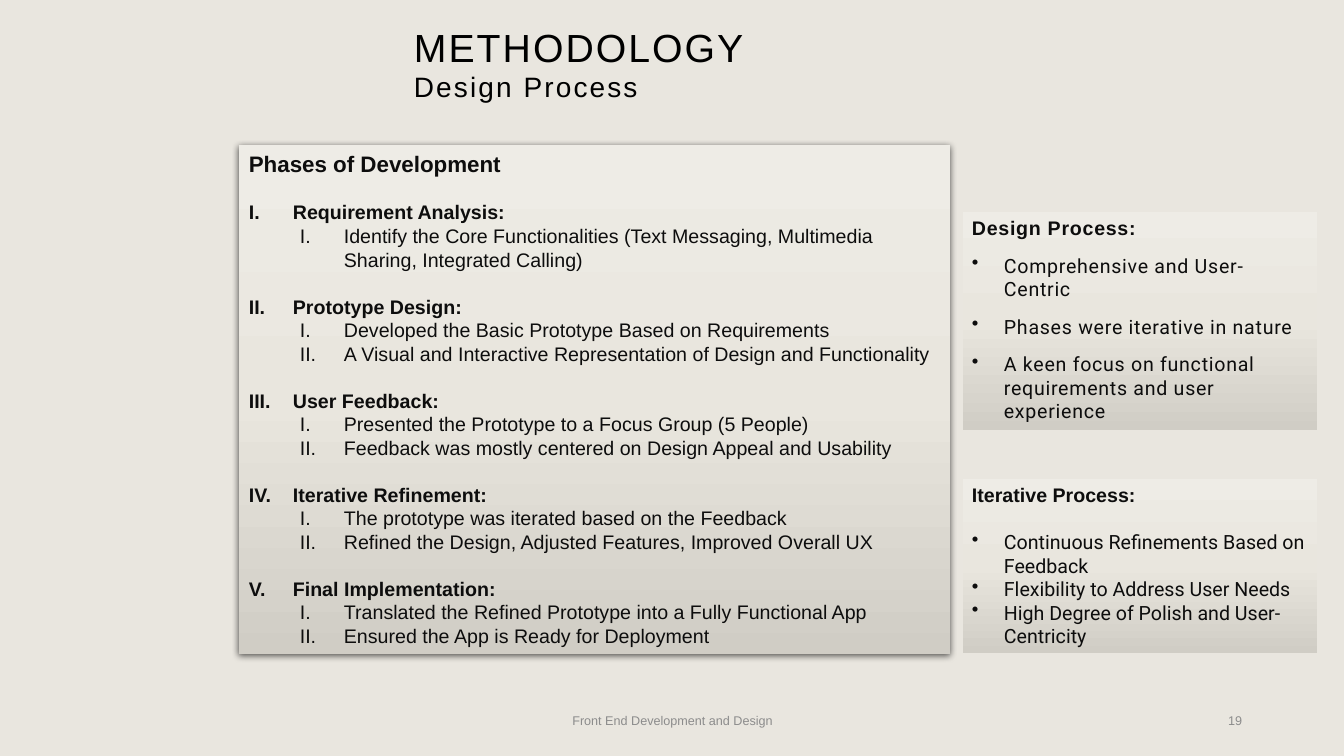
from copy import deepcopy

from pptx import Presentation
from pptx.dml.color import RGBColor
from pptx.enum.shapes import MSO_SHAPE as Preset
from pptx.enum.text import MSO_ANCHOR as Anchor, PP_ALIGN as Align
from pptx.oxml import parse_xml
from pptx.oxml.ns import nsdecls
from pptx.util import Pt

EMU_PER_PX = 914400 / 100.8
INK = "0D0D0D"
BACKDROP = "E9E6DF"
PANEL_STOPS = [(0, "EEECE6"), (0.5, "E9E6DE"), (1, "D0CDC5")]
ROMAN = f'<a:buAutoNum {nsdecls("a")} type="romanUcPeriod"/>'
DOT = f'<a:buChar {nsdecls("a")} char="•"/>'
BLANK_LINE = 16.8

PHASES = [
    ("Requirement Analysis:", [
        "Identify the Core Functionalities (Text Messaging, Multimedia Sharing, Integrated Calling)"]),
    ("Prototype Design:", [
        "Developed the Basic Prototype Based on Requirements",
        "A Visual and Interactive Representation of Design and Functionality"]),
    ("User Feedback:", [
        "Presented the Prototype to a Focus Group (5 People)",
        "Feedback was mostly centered on Design Appeal and Usability"]),
    ("Iterative Refinement:", [
        "The prototype was iterated based on the Feedback",
        "Refined the Design, Adjusted Features, Improved Overall UX"]),
    ("Final Implementation:", [
        "Translated the Refined Prototype into a Fully Functional App",
        "Ensured the App is Ready for Deployment"]),
]
DESIGN_POINTS = [
    "Comprehensive and User-Centric",
    "Phases were iterative in nature",
    "A keen focus on functional requirements and user experience",
]
ITERATIVE_POINTS = [
    "Continuous Refinements Based on Feedback",
    "Flexibility to Address User Needs",
    "High Degree of Polish and User-Centricity",
]


def px(*lengths):
    return [round(length * EMU_PER_PX) for length in lengths]


def color(value):
    return RGBColor.from_string(value)


def add_line(frame, text, size, ink=INK, font="Arial", bold=False, spacing=0,
             before=0, align=Align.LEFT, bullet=None, level=0, margin=0, hang=0):
    first = frame.paragraphs[0]
    paragraph = first if not first.runs else frame.add_paragraph()
    paragraph.alignment = align
    paragraph.level = level
    paragraph.space_before = Pt(before)
    run = paragraph.add_run()
    run.text = text
    run.font.size = Pt(size)
    run.font.name = font
    run.font.bold = bold
    run.font.color.rgb = color(ink)
    if spacing:
        run.font._element.set("spc", str(round(spacing * 100)))
    if bullet:
        properties = paragraph._p.get_or_add_pPr()
        left, indent = px(margin, -hang)
        properties.set("marL", str(left))
        properties.set("indent", str(indent))
        properties.append(parse_xml(bullet))
    return paragraph


def add_label(slide, box, text, size, anchor=Anchor.MIDDLE, **style):
    frame = slide.shapes.add_textbox(*px(*box)).text_frame
    frame.word_wrap = True
    frame.vertical_anchor = anchor
    return add_line(frame, text, size, **style)


def add_panel(slide, box, outlined=True):
    panel = slide.shapes.add_shape(Preset.RECTANGLE, *px(*box))
    panel.shadow.inherit = False
    panel.fill.gradient()
    panel.fill.gradient_angle = 270
    first_stop = panel._element.spPr.find(".//{*}gs")
    first_stop.addnext(deepcopy(first_stop))
    for stop, (position, tint) in zip(panel.fill.gradient_stops, PANEL_STOPS):
        stop.position = position
        stop.color.rgb = color(tint)
    if outlined:
        panel.line.color.rgb = color(BACKDROP)
        panel.line.width = Pt(0.5)
    else:
        panel.line.fill.background()
    panel.text_frame.word_wrap = True
    panel.text_frame.vertical_anchor = Anchor.TOP
    return panel


def cast_shadow(panel):
    panel._element.spPr.find("{*}effectLst").append(parse_xml(
        f'<a:outerShdw {nsdecls("a")} blurRad="{Pt(4.5)}" dist="{Pt(1.5)}" dir="5400000" rotWithShape="0">'
        '<a:srgbClr val="000000"><a:alpha val="63000"/></a:srgbClr></a:outerShdw>'))


def add_phases(slide):
    panel = add_panel(slide, (239, 145, 711, 509), outlined=False)
    cast_shadow(panel)
    frame = panel.text_frame
    add_line(frame, "Phases of Development", 16, bold=True)
    for phase, steps in PHASES:
        add_line(frame, phase, 14, bold=True, before=BLANK_LINE,
                 bullet=ROMAN, margin=44, hang=44)
        for step in steps:
            add_line(frame, step, 14, bullet=ROMAN, level=1, margin=95, hang=44)


def add_summary(slide, box, heading, points, heading_before, first_gap, gap, spacing=0):
    frame = add_panel(slide, box).text_frame
    add_line(frame, heading, 14, bold=True, before=heading_before, spacing=spacing)
    for index, point in enumerate(points):
        add_line(frame, point, 14, font="Roboto", spacing=spacing,
                 before=gap if index else first_gap, bullet=DOT, margin=32, hang=32)


def main():
    deck = Presentation()
    deck.slide_width, deck.slide_height = px(1344, 756)
    slide = deck.slides.add_slide(deck.slide_layouts[6])
    slide.background.fill.solid()
    slide.background.fill.fore_color.rgb = color(BACKDROP)

    title = add_label(slide, (404, 15, 928, 70), "METHODOLOGY", 28, ink="000000", spacing=1.5)
    subtitle = add_label(slide, (404, 69, 311, 40), "Design Process", 20, Anchor.BOTTOM,
                         ink="000000", spacing=1.5)
    title.line_spacing = subtitle.line_spacing = 0.9

    add_summary(slide, (962, 211, 355, 219), "Design Process:", DESIGN_POINTS,
                heading_before=10, first_gap=10, gap=10, spacing=0.5)
    add_phases(slide)
    add_summary(slide, (962, 478, 355, 175), "Iterative Process:", ITERATIVE_POINTS,
                heading_before=0, first_gap=BLANK_LINE, gap=0)

    add_label(slide, (446, 701, 453, 40), "Front End Development and Design", 9,
              ink="8C8C8C", align=Align.CENTER)
    add_label(slide, (950, 701, 302, 40), "19", 9, ink="8C8C8C", align=Align.RIGHT)
    deck.save("out.pptx")


if __name__ == "__main__":
    main()
